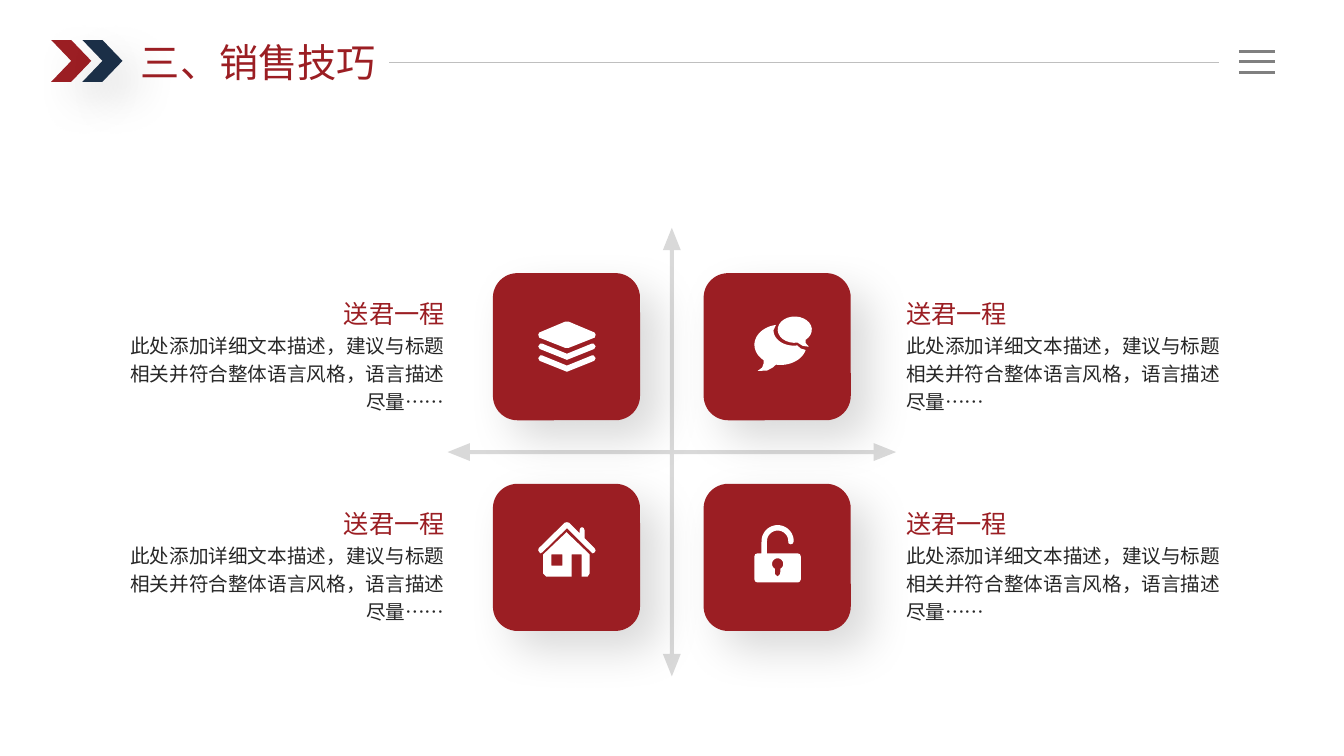
from math import cos, radians, sin
from lxml.etree import SubElement as Sub
from pptx import Presentation
from pptx.dml.color import RGBColor
from pptx.enum.shapes import MSO_CONNECTOR, MSO_SHAPE as Kind
from pptx.enum.text import MSO_AUTO_SIZE as Auto, PP_ALIGN as Align
from pptx.oxml.ns import qn
from pptx.util import Pt

RED, NAVY, WHITE = "9B1E23", "1B2F47", "FFFFFF"
JP, SC = "Noto Sans CJK JP", "Noto Sans CJK SC"


def paint(shape, color, soft=False):
    """Fill a shape flat, with a soft shadow if asked."""
    shape.fill.solid()
    shape.fill.fore_color.rgb = RGBColor.from_string(color)
    shape.line.fill.background()
    shape.shadow.inherit = False
    if soft:
        effects = shape._element.spPr.find(qn("a:effectLst"))
        shade = Sub(effects, qn("a:outerShdw"), blurRad=str(Pt(32)),
                    dist=str(Pt(19)), dir="2700000", algn="tl", rotWithShape="0")
        black = Sub(shade, qn("a:srgbClr"), val="000000")
        Sub(black, qn("a:alpha"), val="14000")


def arc(x, y, rx, ry, start, end):
    """Points along an ellipse, angles in degrees, clockwise."""
    turns = [radians(start + (end - start) * i / 24) for i in range(25)]
    return [(x + rx * cos(t), y + ry * sin(t)) for t in turns]


deck = Presentation()
deck.slide_width, deck.slide_height = Pt(960), Pt(540)
slide = deck.slides.add_slide(deck.slide_layouts[6])
shapes = slide.shapes

# Header chevrons
for left, color in ((36.6, RED), (58.9, NAVY)):
    mark = shapes.add_shape(Kind.CHEVRON, Pt(left), Pt(28.6), Pt(28.6), Pt(29.8))
    paint(mark, color, True)

# Header rule and menu bars
rules = [(277.9, 870.5, 44.3, "BFBFBF", 0.5)]
rules += [(885, 911, 36.7 + 7.5 * i, "808080", 2.25) for i in range(3)]
for left, right, y, color, width in rules:
    rule = shapes.add_connector(MSO_CONNECTOR.STRAIGHT, Pt(left), Pt(y), Pt(right), Pt(y))
    rule.line.color.rgb = RGBColor.from_string(color)
    rule.line.width = Pt(width)
    Sub(rule._element.spPr, qn("a:effectLst"))

# Four-way arrow
cross = shapes.add_shape(Kind.QUAD_ARROW, Pt(319.7), Pt(162.7), Pt(320.4), Pt(320.4))
for i, ratio in enumerate((0.009, 0.02, 0.05)):
    cross.adjustments[i] = ratio
paint(cross, "D9D9D9")

# Icon outlines, in points from the icon's corner
band = [(1.4, 15.8), (2.9, 15.8), (20.5, 23), (38.2, 15.8), (39.6, 15.8),
        (41, 17.7), (40, 19.6), (20.5, 27.4), (1, 19.6), (0, 17.7)]
layers = [
    [(0.7, 11.5), (0, 9.4), (0.7, 7.9), (19.4, 0), (21.6, 0), (40.3, 7.9),
     (41, 9.4), (40.3, 11.5), (21.6, 18.9), (19.4, 18.9)],
    band,
    [(x, y + 8.5) for x, y in band],
]
chat = [
    arc(28.8, 9.4, 12.2, 9.4, 80, 410)
    + [(36.6, 19), (38.9, 21.6), (34.5, 21), (31, 18.8)],
    arc(18.6, 20.2, 18.6, 14.4, 15, 100)
    + [(13, 36.5), (9, 38.6), (2.2, 38.9), (5.5, 36.5), (6.6, 33.5)]
    + arc(18.6, 20.2, 18.6, 14.4, 130, 260)
    + arc(28, 9.8, 14.4, 11, 180, 80) + [(33, 22.8)],
]
house = [
    [(41, 20.2), (40.3, 21.6), (38.9, 22.3), (38, 21.6), (20.5, 4.3), (2.9, 21.6),
     (1.4, 22.3), (0, 20.2), (0.3, 18.7), (18.9, 0.4), (20.5, 0), (22, 0.4),
     (29.5, 7.9), (29.5, 5.8), (30.1, 4.2), (31.3, 3.6), (32.5, 4.2), (33.1, 5.8),
     (33.1, 11.5), (40.3, 18.7)],
    [(36.7, 23), (36.7, 36.7), (35.3, 38.9), (31, 38.9), (31, 23), (23.8, 23),
     (23.8, 38.9), (5.8, 38.9), (3.6, 36.7), (3.6, 23), (20.2, 7.2)],
    [(17.3, 23), (9.4, 23), (9.4, 31), (17.3, 31)],
]
lock = [
    [(31, 41), (2.2, 41), (0.6, 40.3), (0, 38.9), (0, 22.3), (0.6, 20.8),
     (2.2, 20.2), (5, 20.2)]
    + arc(16.6, 11.5, 11.5, 11.5, 180, 360)
    + [(27.5, 13.1), (26, 13.7), (24.4, 13.1)]
    + arc(16.6, 11.5, 7.6, 7.6, 360, 180)
    + [(9, 20.2), (31, 20.2), (32.5, 20.8), (33.1, 22.3), (33.1, 38.9), (32.5, 40.3)],
    arc(16.6, 27.7, 4, 4, 120, 420) + [(18.4, 35), (16.6, 36.7), (14.6, 35)],
]

# Tiles with their icons
icons = ((layers, 32.4, 34.6), (chat, 36.3, 31), (house, 32.4, 27.4), (lock, 36.3, 29.5))
for i, (loops, dx, dy) in enumerate(icons):
    row, col = divmod(i, 2)
    left, top = 352.1 + 150.5 * col, 195.1 + 150.5 * row
    tile = shapes.add_shape(Kind.ROUNDED_RECTANGLE, Pt(left), Pt(top), Pt(105.1), Pt(105.1))
    paint(tile, RED, True)
    pen = None
    for loop in loops:
        dots = [(Pt(x), Pt(y)) for x, y in loop]
        if pen is None:
            pen = shapes.build_freeform(*dots[0])
        else:
            pen.move_to(*dots[0])
        pen.add_line_segments(dots[1:], close=True)
    paint(pen.convert_to_shape(Pt(left + dx), Pt(top + dy)), WHITE)

# Title and captions
body = "此处添加详细文本描述，建议与标题相关并符合整体语言风格，语言描述尽量……"
texts = [("三、销售技巧", 93.6, 23.8, 184.3, 41, 28, JP, RED, Align.LEFT, 1)]
for top in (205, 355.3):
    for side, edge in ((Align.LEFT, 640.1), (Align.RIGHT, 324.7)):
        for words, drop, wide, high, size, face, color in (
                (body, 26.3, 239, 68.4, 14, SC, "262626"),
                ("送君一程", 0, 176.4, 31, 18, JP, RED)):
            left = edge - wide if side == Align.RIGHT else edge
            texts.append((words, left, top + drop, wide, high, size, face, color, side, 1.2))
for words, left, top, wide, high, size, face, color, side, gap in texts:
    frame = shapes.add_textbox(Pt(left), Pt(top), Pt(wide), Pt(high)).text_frame
    frame.word_wrap = gap > 1
    frame.auto_size = Auto.SHAPE_TO_FIT_TEXT
    para = frame.paragraphs[0]
    para.text = words
    para.alignment = side
    para.line_spacing = gap
    para.font.size = Pt(size)
    para.font.color.rgb = RGBColor.from_string(color)
    para.font.name = face
    Sub(para._p.pPr.find(qn("a:defRPr")), qn("a:ea"), typeface=face)

deck.save("out.pptx")
